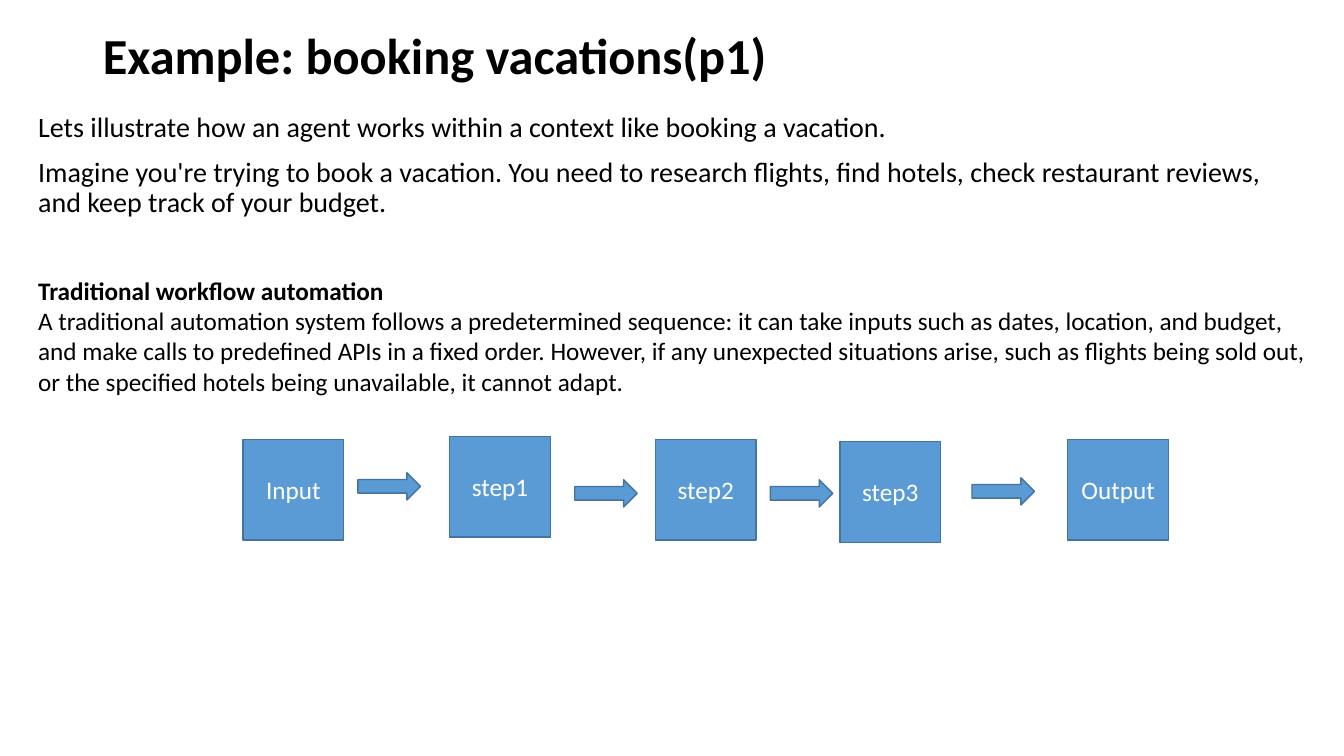
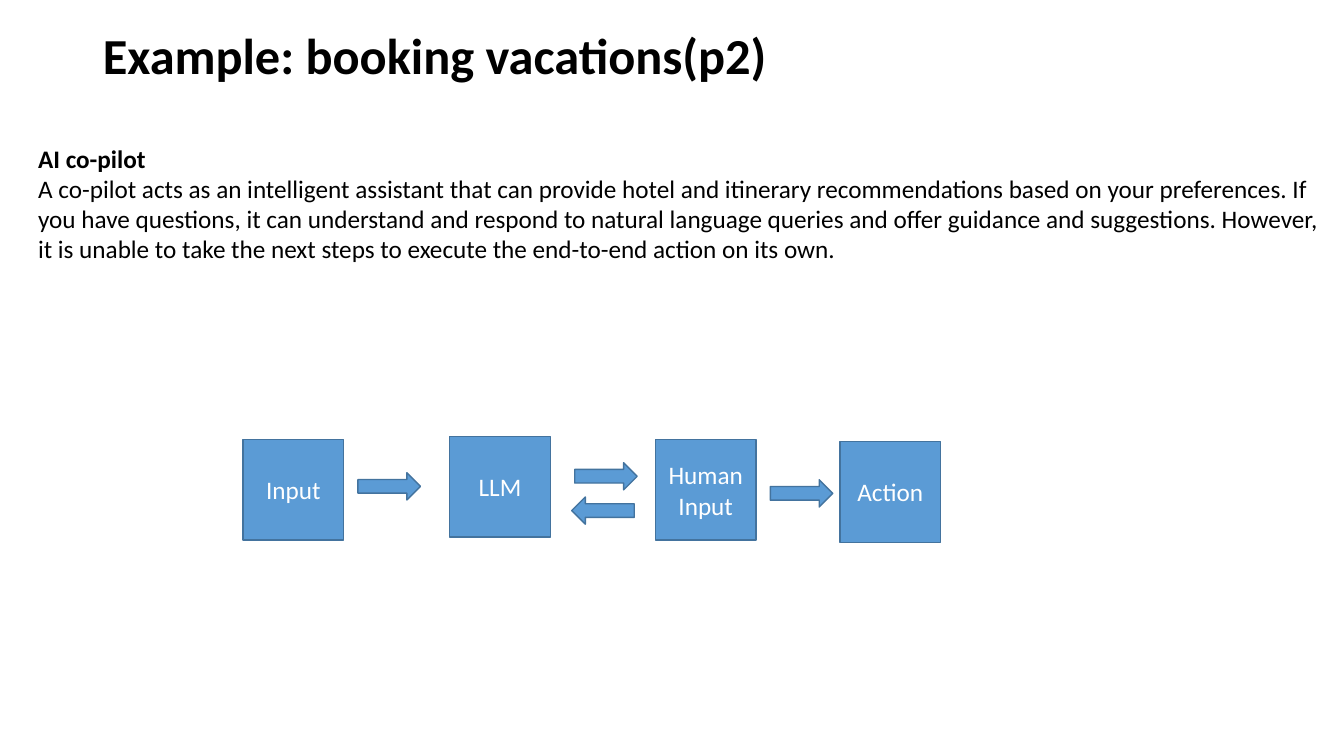
import pptx
import pptx.util
import pptx.dml.color
import pptx.enum.shapes
import pptx.enum.text

Inches = pptx.util.Inches
Pt = pptx.util.Pt
RGBColor = pptx.dml.color.RGBColor
MSO_SHAPE = pptx.enum.shapes.MSO_SHAPE
PP_ALIGN = pptx.enum.text.PP_ALIGN
MSO_ANCHOR = pptx.enum.text.MSO_ANCHOR

BLACK = RGBColor(0x00, 0x00, 0x00)
WHITE = RGBColor(0xFF, 0xFF, 0xFF)
BLUE = RGBColor(0x5B, 0x9B, 0xD5)
DARK_BLUE = RGBColor(0x43, 0x73, 0x9E)
FONT = "Calibri"

BOX_SPOTS = [(2.41, 4.36), (4.46, 4.33), (6.5, 4.36), (8.33, 4.38), (10.59, 4.36)]

SLIDES = [
    {
        "title": "Example: booking vacations(p1)",
        "intro": [
            "Lets illustrate how an agent works within a context like booking a vacation.",
            "Imagine you're trying to book a vacation. You need to research flights, find hotels, "
            "check restaurant reviews, and keep track of your budget.",
        ],
        "heading": "Traditional workflow automation",
        "text": "A traditional automation system follows a predetermined sequence: it can take inputs "
                "such as dates, location, and budget, and make calls to predefined APIs in a fixed order. "
                "However, if any unexpected situations arise, such as flights being sold out, or the "
                "specified hotels being unavailable, it cannot adapt.",
        "text_top": 2.68,
        "text_height": 1.62,
        "boxes": ["Input", "step1", "step2", "step3", "Output"],
        "arrows": [(3.55, 4.69, 0), (5.7, 4.76, 0), (7.64, 4.76, 0), (9.64, 4.74, 0)],
    },
    {
        "title": "Example: booking vacations(p2)",
        "intro": [],
        "heading": "AI co-pilot",
        "text": "A co-pilot acts as an intelligent assistant that can provide hotel and itinerary "
                "recommendations based on your preferences. If you have questions, it can understand and "
                "respond to natural language queries and offer guidance and suggestions. However, it is "
                "unable to take the next steps to execute the end-to-end action on its own.",
        "text_top": 1.37,
        "text_height": 1.31,
        "boxes": ["Input", "LLM", "Human Input", "Action"],
        "arrows": [(3.55, 4.69, 0), (5.7, 4.59, 0), (7.64, 4.76, 0), (5.67, 4.93, 180)],
    },
]


def write(p, text, size=18, color=BLACK, bold=False, align=PP_ALIGN.LEFT, spacing=1.0, before=0):
    p.alignment = align
    p.line_spacing = spacing
    p.space_before = Pt(before)
    r = p.add_run()
    r.text = text
    r.font.name = FONT
    r.font.size = Pt(size)
    r.font.bold = bold
    r.font.color.rgb = color


def add_blue_shape(s, kind, left, top, width, height):
    sp = s.shapes.add_shape(kind, Inches(left), Inches(top), Inches(width), Inches(height))
    sp.shadow.inherit = False
    sp.fill.solid()
    sp.fill.fore_color.rgb = BLUE
    sp.line.color.rgb = DARK_BLUE
    sp.line.width = Pt(1)
    return sp


prs = pptx.Presentation()
prs.slide_width = Inches(13.33)
prs.slide_height = Inches(7.5)

for page in SLIDES:
    s = prs.slides.add_slide(prs.slide_layouts[5])

    title = s.shapes.title
    title.left, title.top = Inches(0.92), Inches(0.22)
    title.width, title.height = Inches(11.5), Inches(0.71)
    tf = title.text_frame
    tf.auto_size = pptx.enum.text.MSO_AUTO_SIZE.NONE
    tf.vertical_anchor = MSO_ANCHOR.MIDDLE
    write(tf.paragraphs[0], page["title"], size=36, bold=True, spacing=0.9)

    if page["intro"]:
        tf = s.shapes.add_textbox(Inches(0.28), Inches(1.08), Inches(12.72), Inches(1.26)).text_frame
        tf.word_wrap = True
        for i, text in enumerate(page["intro"]):
            p = tf.add_paragraph() if i else tf.paragraphs[0]
            write(p, text, size=20, spacing=0.9, before=10 if i else 0)

    tf = s.shapes.add_textbox(
        Inches(0.28), Inches(page["text_top"]), Inches(12.9), Inches(page["text_height"])
    ).text_frame
    tf.word_wrap = True
    write(tf.paragraphs[0], page["heading"], bold=True)
    write(tf.add_paragraph(), page["text"])

    for label, (left, top) in zip(page["boxes"], BOX_SPOTS):
        tf = add_blue_shape(s, MSO_SHAPE.RECTANGLE, left, top, 1, 1).text_frame
        tf.word_wrap = True
        tf.vertical_anchor = MSO_ANCHOR.MIDDLE
        write(tf.paragraphs[0], label, color=WHITE, align=PP_ALIGN.CENTER)

    for left, top, angle in page["arrows"]:
        arrow = add_blue_shape(s, MSO_SHAPE.RIGHT_ARROW, left, top, 0.62, 0.27)
        arrow.rotation = angle

prs.save("out.pptx")
